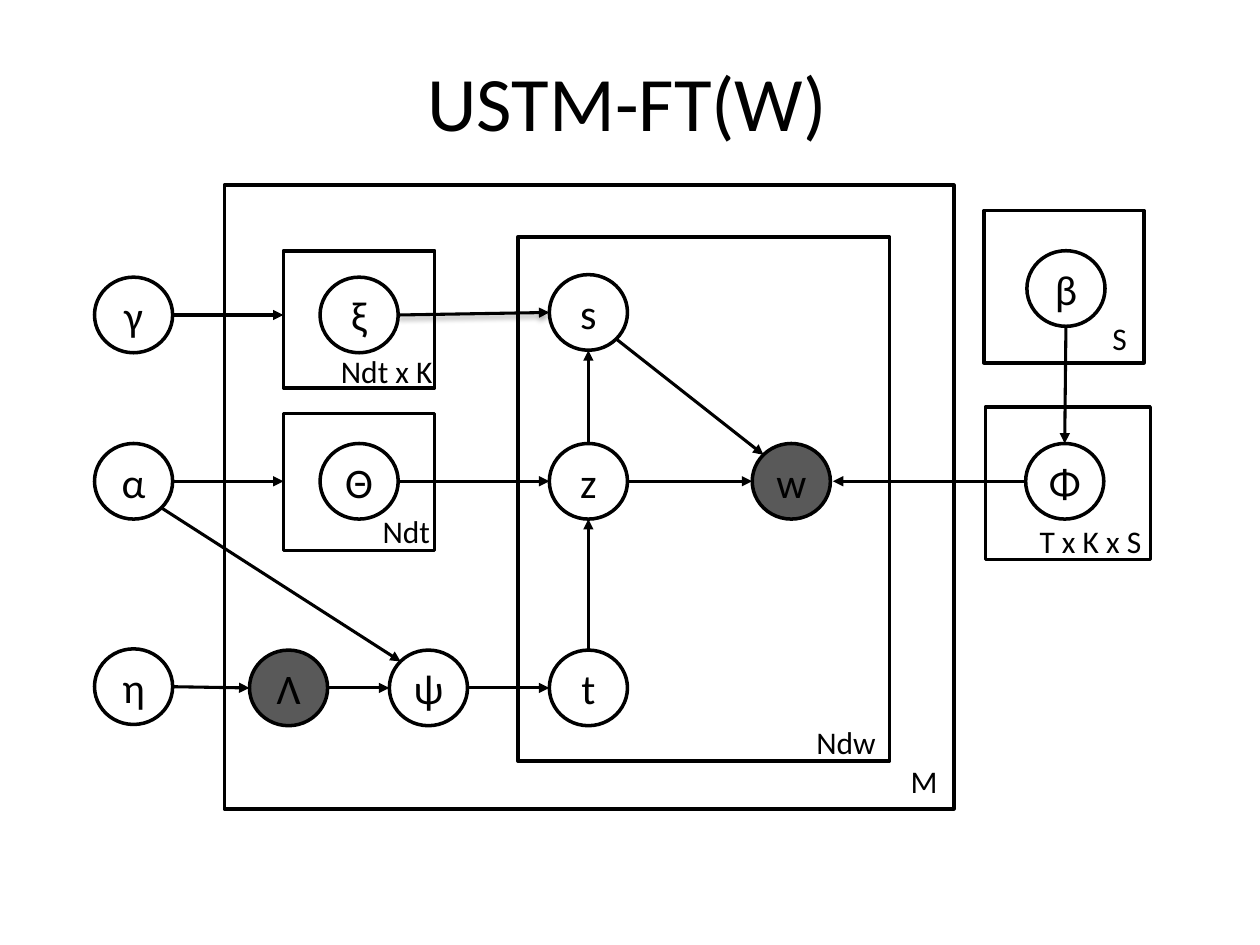
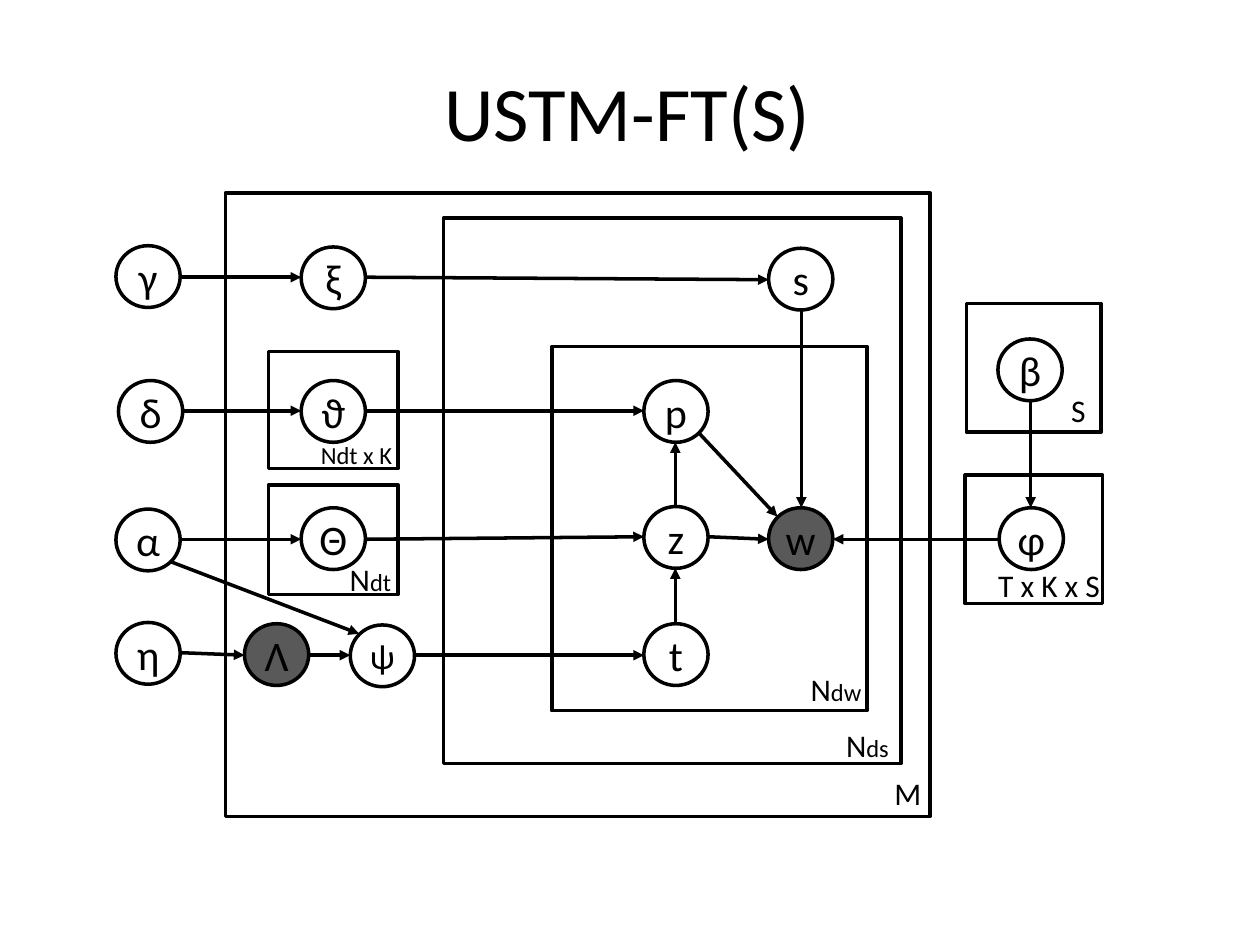
"""Build two plate diagrams of topic models."""
from dataclasses import dataclass
from typing import Any, NamedTuple

from lxml.etree import SubElement
from pptx import Presentation
from pptx.dml.color import RGBColor
from pptx.enum.shapes import MSO_CONNECTOR, MSO_SHAPE
from pptx.enum.text import MSO_ANCHOR, PP_ALIGN
from pptx.oxml.ns import qn
from pptx.util import Emu, Pt

PX = 9144
FONT = "Calibri"
COLORS = {"ink": "000000", "observed": "595959"}
OBSERVED = {"w", "Λ"}
OUTLINE = 2
SIDES = {
    "left": (-1, 0), "right": (1, 0), "top": (0, -1), "bottom": (0, 1),
    "top left": (-0.71, -0.71), "bottom right": (0.71, 0.71),
}
FRAME_FORMAT = {
    "word_wrap": True, "vertical_anchor": MSO_ANCHOR.MIDDLE,
    "margin_left": 0, "margin_right": 0, "margin_top": 0, "margin_bottom": 0,
}


class Rect(NamedTuple):
    """Hold a left, top, width and height in px."""

    left: int
    top: int
    width: int
    height: int


@dataclass(frozen=True)
class Node:
    """Describe a variable by its letter and top left corner."""

    letter: str
    left: int
    top: int
    size: int = 24


@dataclass(frozen=True)
class Label:
    """Describe the count in the corner of a plate."""

    text: str
    rect: Rect
    small: str = ""
    size: int = 18
    align: PP_ALIGN = PP_ALIGN.CENTER
    anchor: MSO_ANCHOR = MSO_ANCHOR.MIDDLE
    inset: int = 0


@dataclass(frozen=True)
class Arrow:
    """Describe an arrow between two variables, ending a gap before the second."""

    source: str
    target: str
    start: str = "right"
    end: str = "left"
    gap: int = 0
    shadow: bool = False


@dataclass(frozen=True)
class Diagram:
    """Describe one slide."""

    title: str
    title_top: int
    node_width: int
    node_height: int
    arrow_width: float
    plates: list[Rect]
    nodes: list[Node]
    labels: list[Label]
    arrows: list[Arrow]


WORD_MODEL = Diagram(
    "USTM-FT(W)", 17, 62, 60, 1.75,
    plates=[
        Rect(178, 147, 579, 495), Rect(411, 188, 295, 416),
        Rect(225, 199, 120, 109), Rect(225, 328, 120, 109),
        Rect(781, 167, 127, 121), Rect(782, 323, 131, 121),
    ],
    nodes=[
        Node("γ", 75, 220), Node("ξ", 254, 220), Node("s", 436, 218),
        Node("α", 75, 352), Node("Θ", 254, 352), Node("z", 436, 352),
        Node("w", 597, 352), Node("Φ", 814, 352), Node("β", 815, 199),
        Node("η", 75, 515), Node("Λ", 198, 516), Node("ψ", 309, 516),
        Node("t", 436, 516),
    ],
    labels=[
        Label("M", Rect(701, 578, 65, 57), anchor=MSO_ANCHOR.BOTTOM),
        Label("Ndw", Rect(591, 569, 118, 40), align=PP_ALIGN.RIGHT, inset=14),
        Label("Ndt", Rect(288, 400, 69, 42)),
        Label("Ndt x K", Rect(244, 273, 126, 42)),
        Label("T x K x S", Rect(802, 408, 127, 42)),
        Label("S", Rect(859, 247, 59, 42)),
    ],
    arrows=[
        Arrow("ξ", "s", shadow=True), Arrow("γ", "ξ", gap=29),
        Arrow("α", "Θ", gap=29), Arrow("α", "ψ", "bottom right", "top left"),
        Arrow("η", "Λ"), Arrow("Λ", "ψ"), Arrow("ψ", "t"), Arrow("Θ", "z"),
        Arrow("t", "z", "top", "bottom"), Arrow("z", "s", "top", "bottom"),
        Arrow("s", "w", "bottom right", "top left"), Arrow("z", "w"),
        Arrow("β", "Φ", "bottom", "top"), Arrow("Φ", "w", "left", "right", 2),
    ],
)

SENTENCE_MODEL = Diagram(
    "USTM-FT(S)", 25, 51, 49, 2,
    plates=[
        Rect(179, 153, 559, 495), Rect(352, 173, 363, 433),
        Rect(438, 275, 250, 289), Rect(213, 279, 103, 93),
        Rect(213, 385, 103, 87), Rect(767, 241, 107, 102),
        Rect(766, 377, 109, 102),
    ],
    nodes=[
        Node("γ", 92, 195), Node("ξ", 239, 196), Node("s", 610, 197),
        Node("δ", 94, 302), Node("ϑ", 239, 302), Node("p", 511, 302),
        Node("α", 92, 404), Node("Θ", 239, 403), Node("z", 511, 402),
        Node("w", 610, 403), Node("φ", 793, 403), Node("β", 792, 269),
        Node("η", 92, 494), Node("Λ", 194, 495), Node("ψ", 278, 496, 20),
        Node("t", 511, 495),
    ],
    labels=[
        Label("M", Rect(682, 609, 77, 41)),
        Label("N", Rect(650, 571, 77, 41), "ds"),
        Label("N", Rect(625, 526, 77, 41), "dw"),
        Label("N", Rect(267, 439, 54, 41), "dt"),
        Label("Ndt x K", Rect(240, 344, 86, 34), size=14),
        Label("T x K x S", Rect(771, 444, 115, 41), align=PP_ALIGN.RIGHT, inset=13),
        Label("S", Rect(831, 305, 50, 41)),
    ],
    arrows=[
        Arrow("γ", "ξ"), Arrow("ξ", "s"), Arrow("s", "w", "bottom", "top"),
        Arrow("δ", "ϑ"), Arrow("ϑ", "p"),
        Arrow("p", "w", "bottom right", "top left"),
        Arrow("z", "w"), Arrow("Θ", "z"), Arrow("α", "Θ"),
        Arrow("η", "Λ"), Arrow("Λ", "ψ"), Arrow("ψ", "t"),
        Arrow("φ", "w", "left", "right"), Arrow("β", "φ", "bottom", "top"),
        Arrow("z", "p", "top", "bottom"), Arrow("t", "z", "top", "bottom"),
        Arrow("α", "ψ", "bottom right", "top left"),
    ],
)


def emu(*lengths: int) -> list[Emu]:
    """Turn px into EMU."""
    return [Emu(length * PX) for length in lengths]


def color(name: str) -> RGBColor:
    """Look up a named colour."""
    return RGBColor.from_string(COLORS[name])


def apply_format(target: Any, values: dict[str, Any]) -> None:
    """Set each format value on the target."""
    for name, value in values.items():
        setattr(target, name, value)


def write_text(box: Any, spans: list[tuple[str, int]], **frame_format: Any) -> Any:
    """Write centred spans of text and sizes, and return the paragraph."""
    apply_format(box.text_frame, FRAME_FORMAT | frame_format)
    para = box.text_frame.paragraphs[0]
    para.alignment = PP_ALIGN.CENTER
    for text, size in spans:
        span = para.add_run()
        span.text = text
        apply_format(span.font, {"name": FONT, "size": Pt(size)})
        span.font.color.rgb = color("ink")
    return para


def add_outline(page: Any, kind: MSO_SHAPE, rect: Rect) -> Any:
    """Draw an unfilled shape with a black line."""
    shape = page.shapes.add_shape(kind, *emu(*rect))
    shape.shadow.inherit = False
    shape.fill.background()
    shape.line.color.rgb = color("ink")
    shape.line.width = Pt(OUTLINE)
    return shape


def add_node(page: Any, node: Node, rect: Rect) -> None:
    """Draw a variable, dark if it is observed."""
    circle = add_outline(page, MSO_SHAPE.OVAL, rect)
    if node.letter in OBSERVED:
        circle.fill.solid()
        circle.fill.fore_color.rgb = color("observed")
    write_text(circle, [(node.letter, node.size)])


def add_label(page: Any, label: Label) -> None:
    """Write the count of a plate, with its small letters if any."""
    box = page.shapes.add_textbox(*emu(*label.rect))
    spans = [(label.text, label.size)]
    if label.small:
        spans.append((label.small, 14))
    para = write_text(box, spans, vertical_anchor=label.anchor,
                      margin_right=Emu(label.inset * PX))
    para.alignment = label.align


def side_point(rect: Rect, side: str, gap: int = 0) -> list[Emu]:
    """Find the point of an ellipse on one side, moved out by a gap."""
    across, down = SIDES[side]
    return emu(round(rect.left + rect.width / 2 + across * (rect.width / 2 + gap)),
               round(rect.top + rect.height / 2 + down * (rect.height / 2 + gap)))


def add_arrow(page: Any, arrow: Arrow, rects: dict[str, Rect], width: float) -> None:
    """Draw an arrow from one variable to another."""
    start = side_point(rects[arrow.source], arrow.start)
    end = side_point(rects[arrow.target], arrow.end, arrow.gap)
    connector = page.shapes.add_connector(MSO_CONNECTOR.STRAIGHT, *start, *end)
    connector.line.color.rgb = color("ink")
    connector.line.width = Pt(width)
    SubElement(connector.line._get_or_add_ln(), qn("a:tailEnd"), type="triangle")
    effects = SubElement(connector._element.spPr, qn("a:effectLst"))
    if arrow.shadow:
        shadow = SubElement(effects, qn("a:outerShdw"), blurRad=str(Pt(3.1)),
                            dist=str(Pt(1.8)), dir="5400000", rotWithShape="0")
        ink = SubElement(shadow, qn("a:srgbClr"), val=COLORS["ink"])
        SubElement(ink, qn("a:alpha"), val="35000")


def add_diagram(deck: Any, diagram: Diagram) -> None:
    """Add a slide with its title, plates, variables, arrows and labels."""
    page = deck.slides.add_slide(deck.slide_layouts[6])
    title = page.shapes.add_textbox(*emu(48, diagram.title_top, 900, 125))
    write_text(title, [(diagram.title, 44)])
    for plate in diagram.plates:
        add_outline(page, MSO_SHAPE.RECTANGLE, plate)
    rects = {
        node.letter: Rect(node.left, node.top, diagram.node_width, diagram.node_height)
        for node in diagram.nodes
    }
    for node in diagram.nodes:
        add_node(page, node, rects[node.letter])
    for label in diagram.labels:
        add_label(page, label)
    for arrow in diagram.arrows:
        add_arrow(page, arrow, rects, diagram.arrow_width)


def main() -> None:
    """Build and save the deck."""
    deck = Presentation()
    deck.slide_width, deck.slide_height = emu(1000, 750)
    for diagram in (WORD_MODEL, SENTENCE_MODEL):
        add_diagram(deck, diagram)
    deck.save("out.pptx")


if __name__ == "__main__":
    main()
